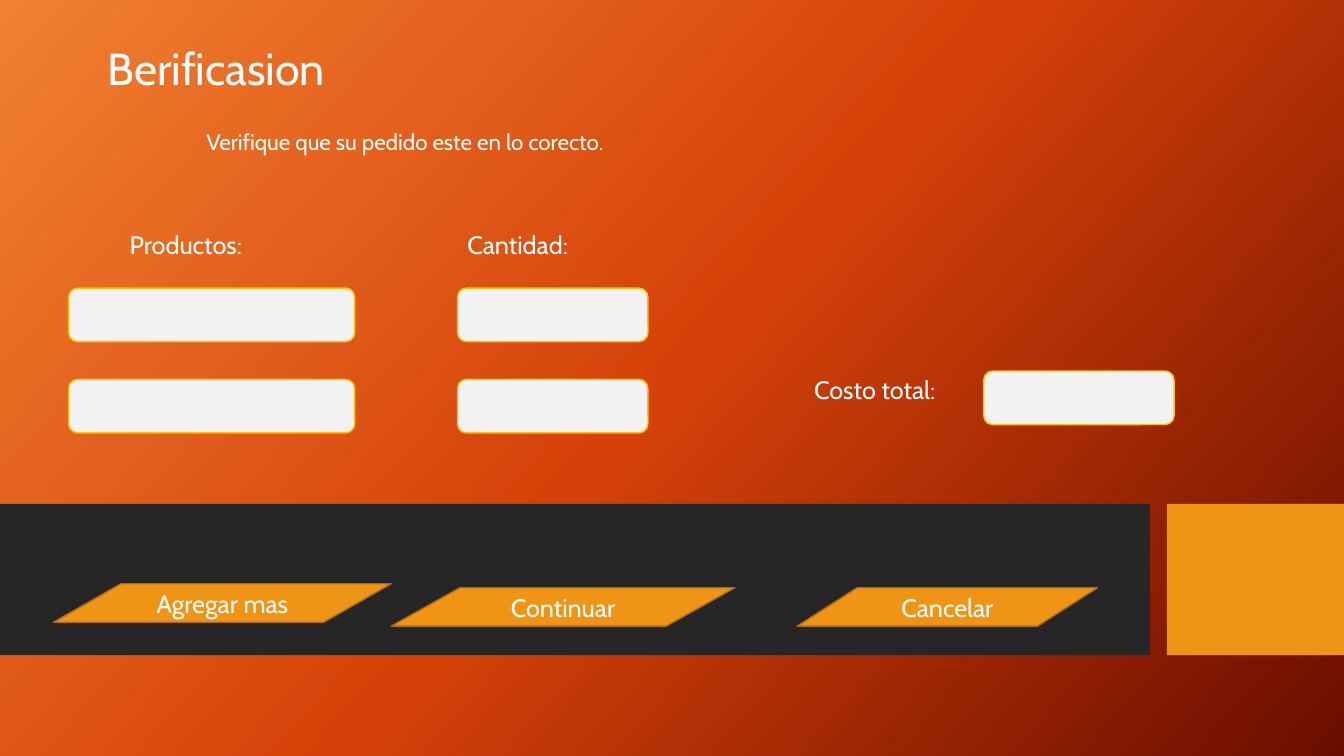
from copy import deepcopy

from pptx import Presentation
from pptx.dml.color import RGBColor
from pptx.enum.shapes import MSO_SHAPE as Geo
from pptx.enum.text import MSO_ANCHOR as Anchor, PP_ALIGN as Align
from pptx.util import Cm, Pt

FONT = "Cabin"
WHITE = "FFFFFF"
AMBER = "F09415"


def paint(color, value):
    color.rgb = RGBColor.from_string(value)


def shade(slide, tints, angle):
    fill = slide.background.fill
    fill.gradient()
    fill.gradient_angle = 360 - angle
    stops = slide.element.xpath(".//a:gsLst")[0]
    stops.insert(1, deepcopy(stops[0]))
    last = len(tints) - 1
    for i, (stop, tint) in enumerate(zip(fill.gradient_stops, tints)):
        stop.position = i / last
        paint(stop.color, tint)


def write(frame, text, size):
    frame.word_wrap = True
    frame.text = text
    para = frame.paragraphs[0]
    font = para.runs[0].font
    font.name = FONT
    font.size = Pt(size)
    paint(font.color, WHITE)
    return para


def label(slide, text, left, top, width, height=1.02, size=18):
    box = slide.shapes.add_textbox(Cm(left), Cm(top), Cm(width), Cm(height))
    return box.text_frame, write(box.text_frame, text, size)


def block(slide, geo, left, top, width, height, fill, line=None):
    shape = slide.shapes.add_shape(geo, Cm(left), Cm(top), Cm(width), Cm(height))
    shape.shadow.inherit = False
    shape.fill.solid()
    paint(shape.fill.fore_color, fill)
    if line:
        paint(shape.line.color, line)
        shape.line.width = Pt(1)
    else:
        shape.line.fill.background()
    return shape


def button(slide, text, left, top, width):
    shape = block(slide, Geo.FLOWCHART_DATA, left, top, width, 0.97, AMBER, "B26D10")
    shape.text_frame.vertical_anchor = Anchor.MIDDLE
    write(shape.text_frame, text, 18).alignment = Align.CENTER


def field(slide, left, top, width):
    block(slide, Geo.ROUNDED_RECTANGLE, left, top, width, 1.35, "F2F2F2", "FFC000")


def main():
    deck = Presentation()
    deck.slide_width, deck.slide_height = Cm(33.87), Cm(19.05)
    slide = deck.slides.add_slide(deck.slide_layouts[6])
    shade(slide, ["F18031", "D54209", "6A0D00"], 42)

    block(slide, Geo.RECTANGLE, 0, 12.7, 28.98, 3.81, "262626")
    block(slide, Geo.RECTANGLE, 29.41, 12.7, 4.46, 3.81, AMBER)

    frame, title = label(slide, "Berificasion", 2.46, 0.89, 10.34, 1.63, 32)
    frame.vertical_anchor = Anchor.BOTTOM
    title.line_spacing = 0.9
    note = "Verifique que su pedido este en lo corecto."
    body = label(slide, note, 4.95, 3.18, 26.7, 1.4, 16)[1]
    body.line_spacing = 0.9
    body.space_before = Pt(10)

    button(slide, "Agregar mas", 1.35, 14.71, 8.51)
    button(slide, "Continuar", 9.86, 14.81, 8.66)
    button(slide, "Cancelar", 20.09, 14.81, 7.57)

    label(slide, "Productos:", 3.02, 5.66, 4.6)
    label(slide, "Cantidad:", 11.53, 5.66, 6.99)
    label(slide, "Costo total:", 20.27, 9.32, 7.24)

    for left, width in ((1.73, 7.21), (11.53, 4.8)):
        for top in (7.26, 9.56):
            field(slide, left, top, width)
    field(slide, 24.79, 9.35, 4.8)

    deck.save("out.pptx")


if __name__ == "__main__":
    main()
